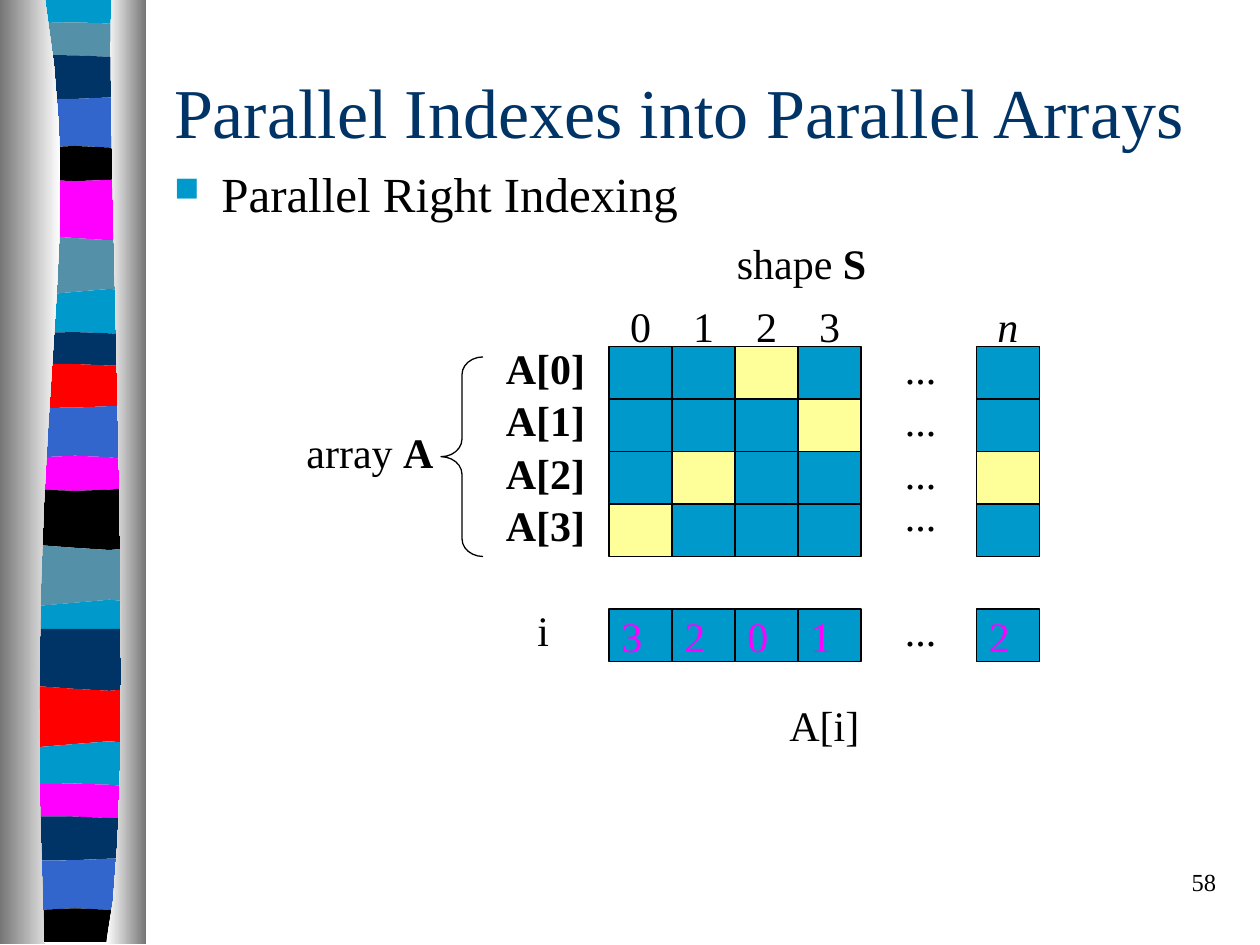
from lxml.etree import SubElement
from pptx import Presentation
from pptx.dml.color import RGBColor
from pptx.enum.shapes import MSO_SHAPE
from pptx.enum.text import MSO_ANCHOR, PP_ALIGN
from pptx.oxml.ns import qn
from pptx.util import Pt

PX = 7620
FONT = "Times New Roman"
COLORS = {
    "cyan": "0099CC", "teal": "5490A8", "navy": "003366", "blue": "3366CC",
    "black": "000000", "magenta": "FF00FF", "red": "FF0000",
    "yellow": "FFFF99", "gray": "767676", "white": "FFFFFF",
}
RGB = {name: RGBColor.from_string(value) for name, value in COLORS.items()}

prs = Presentation()
prs.slide_width, prs.slide_height = 1200 * PX, 900 * PX
s = prs.slides.add_slide(prs.slide_layouts[6])


def bezier(a, b, c, d, steps):
    pts = []
    for i in range(steps + 1):
        t = i / steps
        u = 1 - t
        weights = (u ** 3, 3 * u * u * t, 3 * u * t * t, t ** 3)
        pts.append(tuple(sum(w * p[k] for w, p in zip(weights, (a, b, c, d)))
                         for k in (0, 1)))
    return pts


def add_text(x, y, w, h, runs, size=24, color="black", align=PP_ALIGN.LEFT):
    tf = s.shapes.add_textbox(x * PX, y * PX, w * PX, h * PX).text_frame
    tf.word_wrap = True
    p = tf.paragraphs[0]
    p.alignment = align
    for text, style in runs:
        r = p.add_run()
        r.text = text
        r.font.name = FONT
        r.font.size = Pt(size)
        r.font.color.rgb = RGB[color]
        r.font.bold = style == "bold"
        r.font.italic = style == "italic"
    return tf


bands = [
    ("cyan", 0, 0, 0), ("teal", 25, -6, -4), ("navy", 55, -6, 0),
    ("blue", 92, 6, 0), ("black", 145, -8, -8), ("magenta", 168, 6, 6),
    ("teal", 226, -7, 9), ("cyan", 278, 10, -10), ("navy", 320, -6, -4),
    ("red", 349, -6, 0), ("blue", 386, 6, 0), ("magenta", 440, -8, -8),
    ("black", 463, 6, 6), ("teal", 521, -7, 9), ("cyan", 574, 10, -10),
    ("navy", 599, 0, 0), ("red", 655, -6, 9), ("cyan", 709, 9, -10),
    ("magenta", 750, -6, -4), ("navy", 780, -6, 0), ("blue", 817, 6, 0),
    ("black", 871, -8, -8),
]
edges = [bezier((6, y), (50, y + c1), (93, y + c2), (137, y), 4)
         for _, y, c1, c2 in bands] + [[(6, 897), (137, 897)]]
outlines = [(top + bottom[::-1], (band[0],))
            for band, top, bottom in zip(bands, edges, edges[1:])]
outlines += [
    (bezier((43, 0), (85, 259), (20, 355), (42, 899), 12) + [(0, 899), (0, 0)],
     ("gray", "white")),
    (bezier((106, 0), (101, 150), (133, 775), (101, 899), 12) + [(139, 899), (139, 0)],
     ("white", "gray")),
]
for pts, fills in outlines:
    pts = [(x * PX, y * PX) for x, y in pts]
    fb = s.shapes.build_freeform(*pts[0])
    fb.add_line_segments(pts[1:])
    sp = fb.convert_to_shape()
    sp.shadow.inherit = False
    sp.line.fill.background()
    if len(fills) == 1:
        sp.fill.solid()
        sp.fill.fore_color.rgb = RGB[fills[0]]
    else:
        sp.fill.gradient()
        sp.fill.gradient_angle = 0
        for stop, name in zip(sp.fill.gradient_stops, fills):
            stop.color.rgb = RGB[name]

tf = add_text(154, 60, 1020, 90, [("Parallel Indexes into Parallel Arrays", "")], 40, "navy")
tf.vertical_anchor = MSO_ANCHOR.MIDDLE

tf = add_text(154, 150, 1020, 650, [("Parallel Right Indexing", "")], 28)
pPr = tf.paragraphs[0]._p.get_or_add_pPr()
pPr.set("marL", str(45 * PX))
pPr.set("indent", str(-45 * PX))
SubElement(SubElement(pPr, qn("a:buClr")), qn("a:srgbClr")).set("val", COLORS["cyan"])
SubElement(pPr, qn("a:buSzPct")).set("val", "70000")
SubElement(pPr, qn("a:buChar")).set("char", "■")

add_text(690, 220, 170, 60, [("shape ", ""), ("S", "bold")])
add_text(280, 400, 210, 60, [("array ", ""), ("A", "bold")])
add_text(740, 660, 100, 60, [("A[i]", "")])
add_text(500, 570, 40, 60, [("i", "")])

col_xs = [580, 640, 700, 760, 930]
row_ys = [330, 380, 430, 480, 580]
selected = [3, 2, 0, 1, 2]
for row, y in enumerate(row_ys):
    for x, index in zip(col_xs, selected):
        sp = s.shapes.add_shape(MSO_SHAPE.RECTANGLE, x * PX, y * PX, 60 * PX, 50 * PX)
        sp.shadow.inherit = False
        sp.fill.solid()
        sp.fill.fore_color.rgb = RGB["yellow" if index == row else "cyan"]
        sp.line.color.rgb = RGB["black"]
        sp.line.width = Pt(0.75)
        if y == row_ys[-1]:
            tf = sp.text_frame
            tf.margin_top = tf.margin_bottom = 0
            tf.text = str(index)
            r = tf.paragraphs[0].runs[0]
            r.font.name = FONT
            r.font.size = Pt(24)
            r.font.color.rgb = RGB["magenta"]

for row, y in enumerate(row_ys[:4]):
    add_text(470, y - 10, 110, 60, [(f"A[{row}]", "bold")])
for y in (320, 370, 420, 460, 570):
    add_text(850, y, 80, 60, [("...", "")])
for x, label in zip(col_xs, "0123n"):
    style = "italic" if label == "n" else ""
    add_text(x, 280, 60, 60, [(label, style)], align=PP_ALIGN.CENTER)

sp = s.shapes.add_shape(MSO_SHAPE.LEFT_BRACE, 420 * PX, 340 * PX, 40 * PX, 190 * PX)
sp.shadow.inherit = False
sp.adjustments[0] = 0.42
sp.fill.background()
sp.line.color.rgb = RGB["black"]
sp.line.width = Pt(0.75)

add_text(920, 820, 250, 60, [("58", "")], 14, align=PP_ALIGN.RIGHT)

prs.save("out.pptx")
